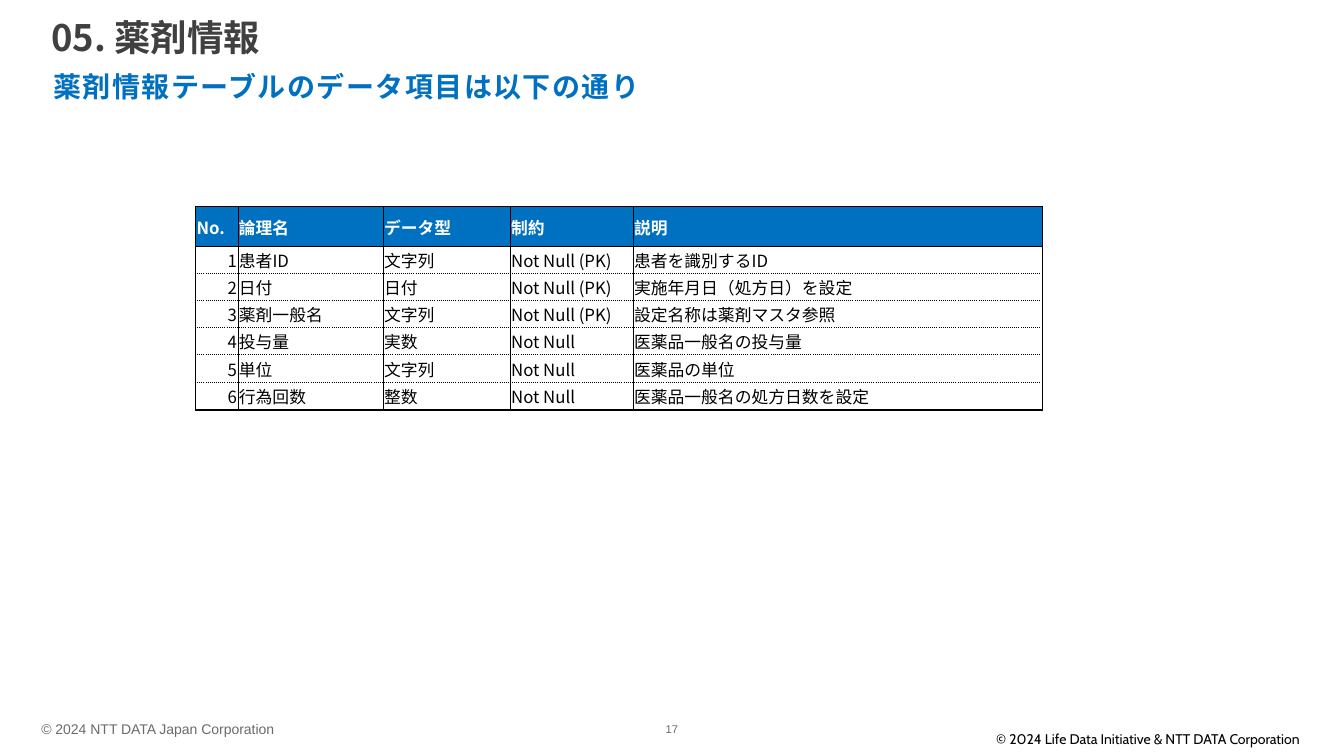
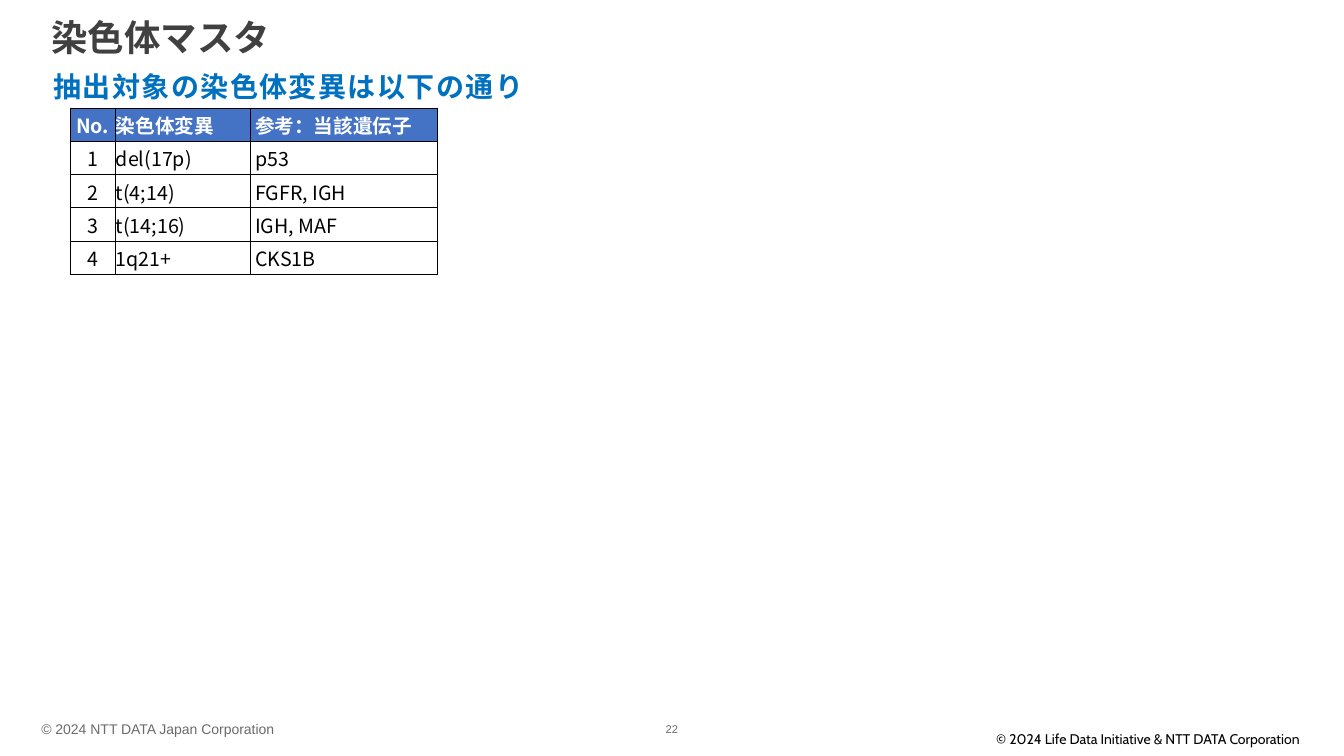
import pptx
import pptx.dml.color
import pptx.enum.text
import pptx.oxml.ns
import pptx.util
import lxml.etree

PX = 9144  # EMU in one px, 100 px to the inch
SLIDE_SIZE = (1333, 750)

WHITE = pptx.dml.color.RGBColor(0xFF, 0xFF, 0xFF)
BLACK = pptx.dml.color.RGBColor(0x00, 0x00, 0x00)
TITLE_GRAY = pptx.dml.color.RGBColor(0x40, 0x40, 0x40)
FOOTER_GRAY = pptx.dml.color.RGBColor(0x6B, 0x6B, 0x6B)
BLUE = pptx.dml.color.RGBColor(0x00, 0x70, 0xC0)
SOFT_BLUE = pptx.dml.color.RGBColor(0x44, 0x72, 0xC4)

JAPANESE = "Noto Sans CJK JP"
LEFT = pptx.enum.text.PP_ALIGN.LEFT
CENTER = pptx.enum.text.PP_ALIGN.CENTER
RIGHT = pptx.enum.text.PP_ALIGN.RIGHT
TOP = pptx.enum.text.MSO_ANCHOR.TOP
MIDDLE = pptx.enum.text.MSO_ANCHOR.MIDDLE

TITLE_BOX = (41, 15, 1252, 44)
LEAD_BOX = (53, 51, 1224, 56)
COMPANY_BOX = (41, 718, 531, 10)
PAGE_BOX = (650, 718, 33, 10)
COPYRIGHT_BOX = (966, 720, 323, 27)


def px(length):
    return pptx.util.Emu(length * PX)


def style(paragraph, size, color, face=JAPANESE, bold=False, align=LEFT, spacing=0):
    """Format one paragraph, with the face set for Japanese text as well."""
    paragraph.alignment = align
    font = paragraph.font
    font.size = pptx.util.Pt(size)
    font.bold = bold
    font.color.rgb = color
    font.name = face
    qn = pptx.oxml.ns.qn
    defaults = paragraph._p.pPr.find(qn("a:defRPr"))
    lxml.etree.SubElement(defaults, qn("a:ea"), typeface=face)
    if spacing:
        defaults.set("spc", str(spacing * 100))


def fill_box(shape, box, text, insets=(0, 0, 0, 0), anchor=MIDDLE, wrap=True, **look):
    """Place a text shape and write one formatted paragraph in it."""
    shape.left, shape.top, shape.width, shape.height = map(px, box)
    frame = shape.text_frame
    frame.auto_size = pptx.enum.text.MSO_AUTO_SIZE.NONE
    frame.word_wrap = wrap
    frame.vertical_anchor = anchor
    (frame.margin_left, frame.margin_top,
     frame.margin_right, frame.margin_bottom) = map(px, insets)
    paragraph = frame.paragraphs[0]
    paragraph.text = text
    style(paragraph, **look)
    return paragraph


def add_label(slide, box, text, **look):
    return fill_box(slide.shapes.add_textbox(*map(px, box)), box, text, **look)


def add_footer(slide, page):
    add_label(slide, COMPANY_BOX, "© 2024 NTT DATA Japan Corporation",
              size=10, color=FOOTER_GRAY, face="Arial")
    add_label(slide, COPYRIGHT_BOX, "© 2024 Life Data Initiative & NTT DATA Corporation",
              insets=(0, 5, 0, 5), anchor=TOP, wrap=False,
              size=10, color=BLACK, face="Cabin", align=RIGHT)
    add_label(slide, PAGE_BOX, str(page),
              size=8, color=FOOTER_GRAY, face="Arial", align=CENTER)


def add_page(deck, page, title, lead):
    """Add a slide with its title, blue lead line and footer."""
    slide = deck.slides.add_slide(deck.slide_layouts[5])
    fill_box(slide.shapes.title, TITLE_BOX, title, insets=(10, 0, 10, 0),
             size=26, color=TITLE_GRAY, bold=True)
    lead_line = add_label(slide, LEAD_BOX, lead, insets=(0, 8, 8, 8), anchor=TOP,
                          size=20, color=BLUE, bold=True, spacing=1)
    lead_line.line_spacing = 1.3
    add_footer(slide, page)
    return slide


def add_border(cell, side, width, dash):
    qn = pptx.oxml.ns.qn
    line = lxml.etree.SubElement(cell._tc.get_or_add_tcPr(), qn("a:ln" + side),
                                 w=str(pptx.util.Pt(width)))
    solid = lxml.etree.SubElement(line, qn("a:solidFill"))
    lxml.etree.SubElement(solid, qn("a:srgbClr"), val=str(BLACK))
    lxml.etree.SubElement(line, qn("a:prstDash"), val=dash)


def add_grid(slide, origin, widths, heights, records, size, header_fill,
             number_align, header_align=LEFT, edge=0.5, row_dash="solid", indents=None):
    """Draw a table: a filled header, numbered rows and a ruled frame."""
    indents = indents or {}
    last_row, last_column = len(heights) - 1, len(widths) - 1
    table = slide.shapes.add_table(
        len(heights), len(widths), *map(px, (*origin, sum(widths), sum(heights)))).table
    table.first_row = table.horz_banding = False
    for column, width in zip(table.columns, widths):
        column.width = px(width)
    for row, height in zip(table.rows, heights):
        row.height = px(height)

    for r, record in enumerate(records):
        header = r == 0
        for c, text in enumerate(record):
            cell = table.cell(r, c)
            cell.margin_left = px(indents.get(c, 1))
            cell.margin_top = cell.margin_right = px(1)
            cell.margin_bottom = 0
            cell.vertical_anchor = MIDDLE

            # Borders come before the fill in the cell properties
            add_border(cell, "L", edge if c == 0 else 0.5, "solid")
            add_border(cell, "R", edge if c == last_column else 0.5, "solid")
            add_border(cell, "T", edge if header else 0.5, row_dash if r > 1 else "solid")
            add_border(cell, "B", edge if r == last_row else 0.5,
                       row_dash if 0 < r < last_row else "solid")
            if header:
                cell.fill.solid()
                cell.fill.fore_color.rgb = header_fill
            else:
                cell.fill.background()

            align = LEFT
            if c == 0:
                align = header_align if header else number_align
            paragraph = cell.text_frame.paragraphs[0]
            paragraph.text = text
            style(paragraph, size, WHITE if header else BLACK, bold=header, align=align)


def numbered(header, rows):
    return [("No.", *header)] + [(str(n), *row) for n, row in enumerate(rows, 1)]


def add_drug_slide(deck):
    slide = add_page(deck, 17, "05. 薬剤情報", "薬剤情報テーブルのデータ項目は以下の通り")
    items = numbered(("論理名", "データ型", "制約", "説明"), [
        ("患者ID", "文字列", "Not Null (PK)", "患者を識別するID"),
        ("日付", "日付", "Not Null (PK)", "実施年月日（処方日）を設定"),
        ("薬剤一般名", "文字列", "Not Null (PK)", "設定名称は薬剤マスタ参照"),
        ("投与量", "実数", "Not Null", "医薬品一般名の投与量"),
        ("単位", "文字列", "Not Null", "医薬品の単位"),
        ("行為回数", "整数", "Not Null", "医薬品一般名の処方日数を設定"),
    ])
    add_grid(slide, (194, 205), (42, 144, 126, 122, 406), (39, *[27] * 5, 28), items,
             size=12, header_fill=BLUE, number_align=RIGHT, edge=1, row_dash="dot")


def add_chromosome_slide(deck):
    slide = add_page(deck, 22, "染色体マスタ", "抽出対象の染色体変異は以下の通り")
    variants = numbered(("染色体変異", "参考：当該遺伝子"), [
        ("del(17p)", "p53"),
        ("t(4;14)", "FGFR, IGH"),
        ("t(14;16)", "IGH, MAF"),
        ("1q21+", "CKS1B"),
    ])
    add_grid(slide, (70, 107), (44, 134, 186), [33] * 5, variants,
             size=14, header_fill=SOFT_BLUE, number_align=CENTER,
             header_align=CENTER, indents={2: 5})


def main():
    deck = pptx.Presentation()
    deck.slide_width, deck.slide_height = map(px, SLIDE_SIZE)
    add_drug_slide(deck)
    add_chromosome_slide(deck)
    deck.save("out.pptx")


if __name__ == "__main__":
    main()
